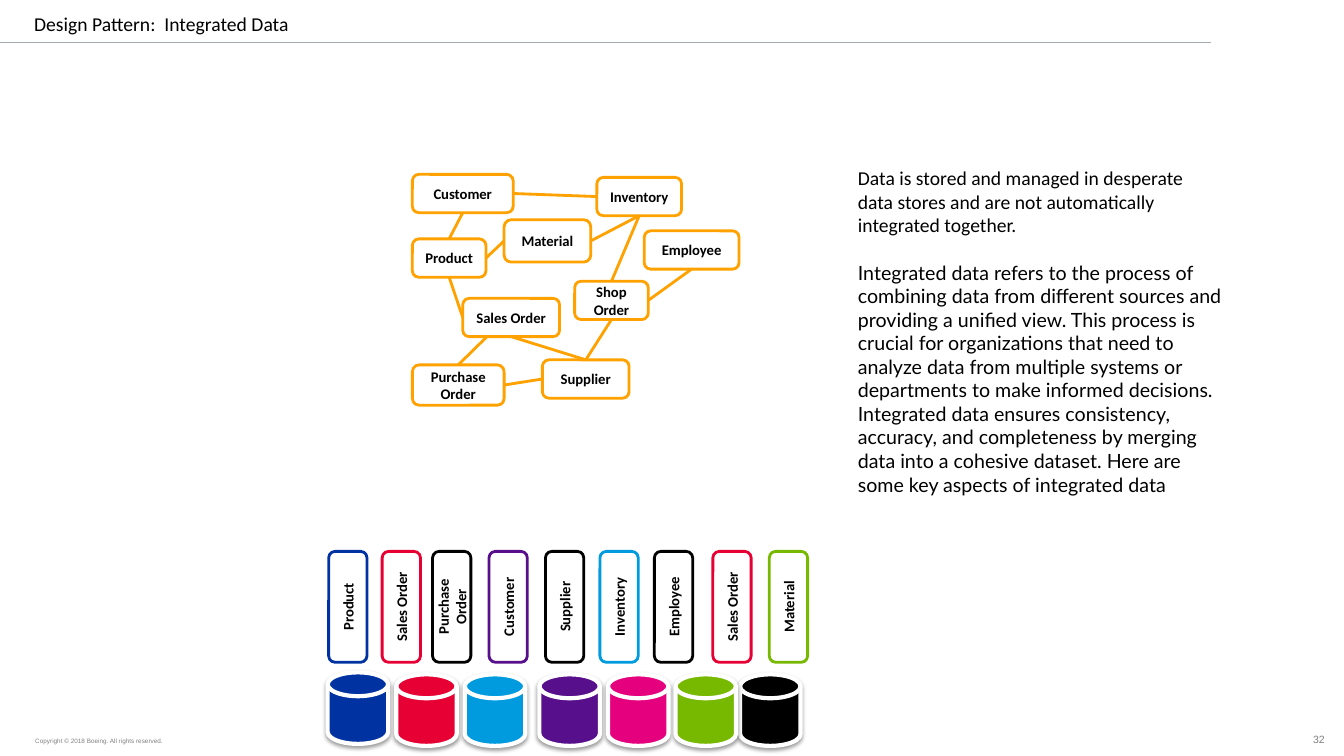
from lxml.etree import SubElement
from pptx import Presentation
from pptx.dml.color import RGBColor
from pptx.enum.shapes import MSO_CONNECTOR, MSO_SHAPE
from pptx.enum.text import MSO_ANCHOR, PP_ALIGN
from pptx.oxml.ns import qn
from pptx.util import Inches, Pt

# Content; lengths are cells of a grid of 133.3 columns by 75 rows
COLS, ROWS, CELL = 133.3, 75, 0.1
ORANGE, BLACK, WHITE, GREY = "FFA200", "000000", "FFFFFF", "808080"
BLUE, RED, SKY, PURPLE = "0033A1", "E70033", "009BDF", "580F8B"
PINK, GREEN = "E5007E", "77B800"

TITLE = "Design Pattern:  Integrated Data"
COPYRIGHT = "Copyright © 2018 Boeing. All rights reserved."
PAGE = "32"
BODY = [
    ("Data is stored and managed in desperate data stores and are not "
     "automatically integrated together.", "Calibri"),
    ("Integrated data refers to the process of combining data from different "
     "sources and providing a unified view. This process is crucial for "
     "organizations that need to analyze data from multiple systems or "
     "departments to make informed decisions. Integrated data ensures "
     "consistency, accuracy, and completeness by merging data into a cohesive "
     "dataset. Here are some key aspects of integrated data", "Lato"),
]
# Entity: left, top, width, height
ENTITIES = {
    "Material": (50, 21.8, 8.6, 4.2),
    "Shop Order": (57, 27.9, 7.3, 3.8),
    "Sales Order": (45.9, 29.6, 9.6, 3.8),
    "Customer": (40.9, 17.3, 10, 3.8),
    "Inventory": (59.2, 17.6, 8.4, 3.8),
    "Product": (40.9, 23.7, 7.3, 3.8),
    "Supplier": (53.8, 35.7, 8.6, 3.8),
    "Employee": (63.9, 22.9, 9.4, 3.8),
    "Purchase Order": (40.9, 36.2, 9.1, 4),
}
TOP, LEFT, BOTTOM, RIGHT = range(4)
LINKS = [
    ("Customer", RIGHT, "Inventory", LEFT),
    ("Material", RIGHT, "Inventory", BOTTOM),
    ("Shop Order", TOP, "Inventory", BOTTOM),
    ("Product", BOTTOM, "Sales Order", LEFT),
    ("Product", RIGHT, "Material", LEFT),
    ("Shop Order", BOTTOM, "Supplier", TOP),
    ("Sales Order", BOTTOM, "Supplier", TOP),
    ("Purchase Order", RIGHT, "Supplier", LEFT),
    ("Product", TOP, "Customer", BOTTOM),
    ("Shop Order", RIGHT, "Employee", BOTTOM),
]
# Upright label: centre, colour
LABELS = [
    ("Product", 34.5, BLUE), ("Sales Order", 39.8, RED),
    ("Purchase Order", 44.8, BLACK), ("Customer", 50.4, PURPLE),
    ("Supplier", 56, BLACK), ("Inventory", 61.4, SKY),
    ("Employee", 66.8, BLACK), ("Sales Order", 72.6, RED),
    ("Material", 78.2, GREEN),
]
LABEL_MIDDLE, LABEL_LENGTH, LABEL_DEPTH = 60.2, 11, 3.8
# Data store: left, top, colour, from back to front
STORES = [
    (73.4, 66.9, BLACK), (67, 66.9, GREEN), (60.3, 66.9, PINK),
    (53.5, 66.9, PURPLE), (46.1, 66.9, SKY), (39.3, 66.9, RED),
    (32.5, 66.7, BLUE),
]
STORE_W, STORE_H = 6, 7.1


def rgb(value):
    return RGBColor.from_string(value)


def cells(*values):
    return [Inches(v * CELL) for v in values]


prs = Presentation()
prs.slide_width, prs.slide_height = cells(COLS, ROWS)
slide = prs.slides.add_slide(prs.slide_layouts[6])


def add_run(p, text, size, font="Calibri", color=BLACK, bold=False):
    r = p.add_run()
    r.text = text
    r.font.size, r.font.name, r.font.bold = Pt(size), font, bold
    r.font.color.rgb = rgb(color)


def add_text(box, wrap=True, inset=None, anchor=MSO_ANCHOR.TOP):
    tf = slide.shapes.add_textbox(*cells(*box)).text_frame
    tf.word_wrap, tf.vertical_anchor = wrap, anchor
    if inset is not None:
        tf.margin_left = tf.margin_right = Inches(inset)
        tf.margin_top = tf.margin_bottom = Inches(inset)
    return tf


def add_shape(kind, box, fill, line, width):
    sp = slide.shapes.add_shape(kind, *cells(*box))
    sp.shadow.inherit = False
    sp.fill.solid()
    sp.fill.fore_color.rgb = rgb(fill)
    sp.line.color.rgb = rgb(line)
    sp.line.width = Pt(width)
    return sp


def add_card(text, box, line):
    sp = add_shape(MSO_SHAPE.ROUNDED_RECTANGLE, box, WHITE, line, 2)
    tf = sp.text_frame
    tf.word_wrap, tf.vertical_anchor = True, MSO_ANCHOR.MIDDLE
    p = tf.paragraphs[0]
    p.alignment = PP_ALIGN.CENTER
    add_run(p, text, 10.5, bold=True)
    return sp


def add_line(start, end, color, width):
    line = slide.shapes.add_connector(MSO_CONNECTOR.STRAIGHT,
                                      *cells(*start, *end))
    line.line.color.rgb = rgb(color)
    line.line.width = Pt(width)
    SubElement(line._element.spPr, qn("a:effectLst"))
    return line


def add_shadow(sp):
    effects = sp._element.spPr.find(qn("a:effectLst"))
    shadow = SubElement(effects, qn("a:outerShdw"), blurRad=str(Pt(3.1)),
                        dist=str(Pt(1.6)), dir="5400000", rotWithShape="0")
    color = SubElement(shadow, qn("a:srgbClr"), val=BLACK)
    SubElement(color, qn("a:alpha"), val="38000")


# Header and footer
add_line((120.1, 4.2), (0, 4.2), "A5ACB0", 0.75)
tf = add_text((2.4, 0.7, 27.5, 3.4), wrap=False)
add_run(tf.paragraphs[0], TITLE, 14)
tf = add_text((3.4, 73.1, 22.6, 0.9), inset=0.01, anchor=MSO_ANCHOR.BOTTOM)
add_run(tf.paragraphs[0], COPYRIGHT, 4.5, "Arial", GREY)
tf = add_text((112, 71.4, 19.5, 2.7), inset=0.01, anchor=MSO_ANCHOR.BOTTOM)
tf.paragraphs[0].alignment = PP_ALIGN.RIGHT
add_run(tf.paragraphs[0], PAGE, 7.5, "Arial", GREY)

# Entity network
nodes = {name: add_card(name, box, ORANGE) for name, box in ENTITIES.items()}
for source, out_side, target, in_side in LINKS:
    link = add_line((0, 0), (0, 0), ORANGE, 2)
    link.begin_connect(nodes[source], out_side)
    link.end_connect(nodes[target], in_side)

# This link leaves a quarter of the way along the bottom of its card
x, y, w, h = ENTITIES["Sales Order"]
link = add_line((x + w / 4, y + h), (x, y + h), ORANGE, 2)
link.end_connect(nodes["Purchase Order"], TOP)

# Upright labels
for name, centre, color in LABELS:
    box = (centre - LABEL_LENGTH / 2, LABEL_MIDDLE - LABEL_DEPTH / 2,
           LABEL_LENGTH, LABEL_DEPTH)
    add_card(name, box, color).rotation = 270

# Data stores
for left, top, color in STORES:
    add_shadow(add_shape(MSO_SHAPE.FLOWCHART_MAGNETIC_DISK,
                         (left, top, STORE_W, STORE_H), color, WHITE, 3))

# Explanation
tf = add_text((79.1, 16, 43.2, 34))
for i, (text, font) in enumerate(BODY):
    p = tf.add_paragraph() if i else tf.paragraphs[0]
    p.level = 1
    pPr = p._p.get_or_add_pPr()
    pPr.set("marL", str(Inches(0.5)))
    pPr.set("indent", "0")
    if i:
        p.space_before = Pt(17)
    add_run(p, text, 14, font)

prs.save("out.pptx")
